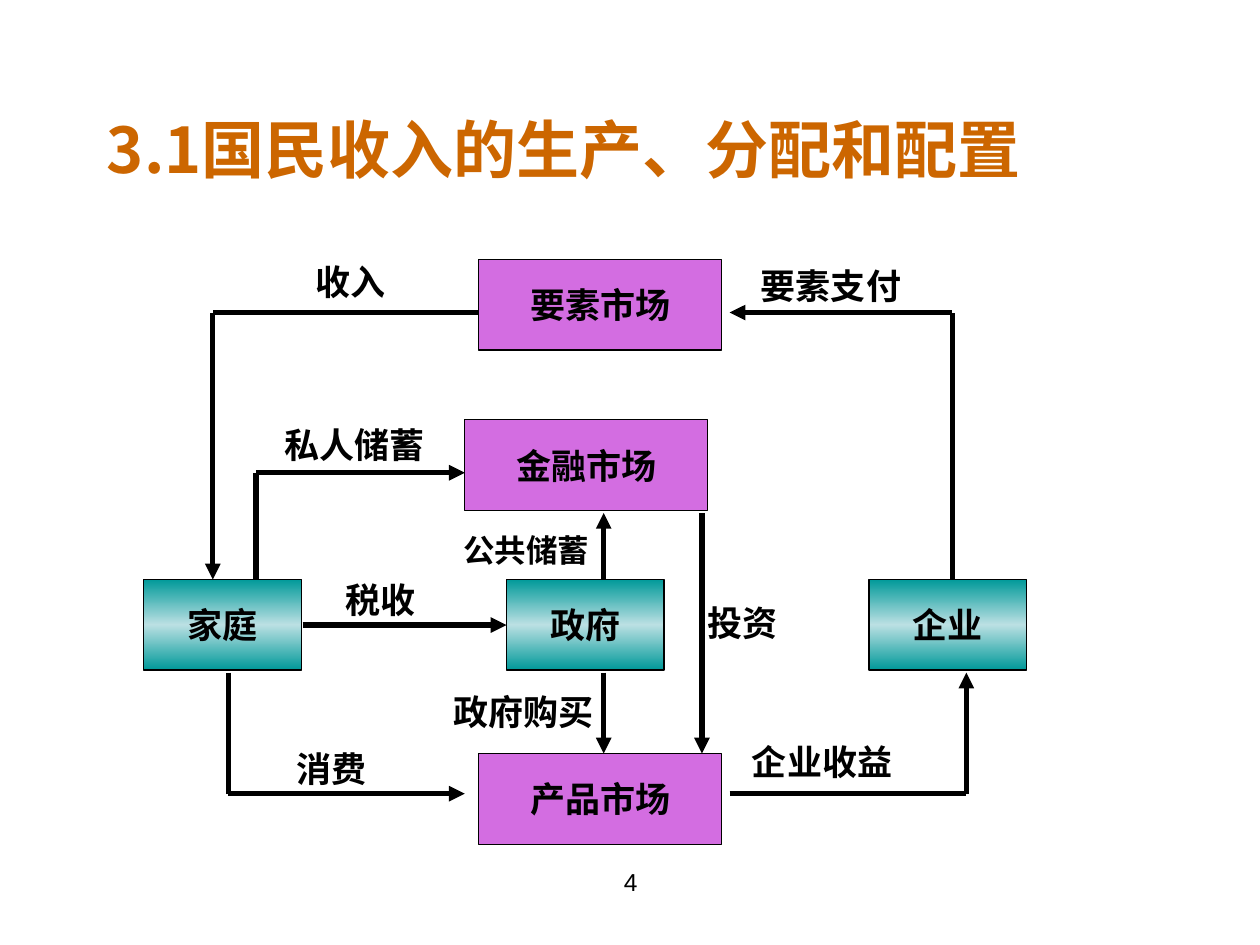
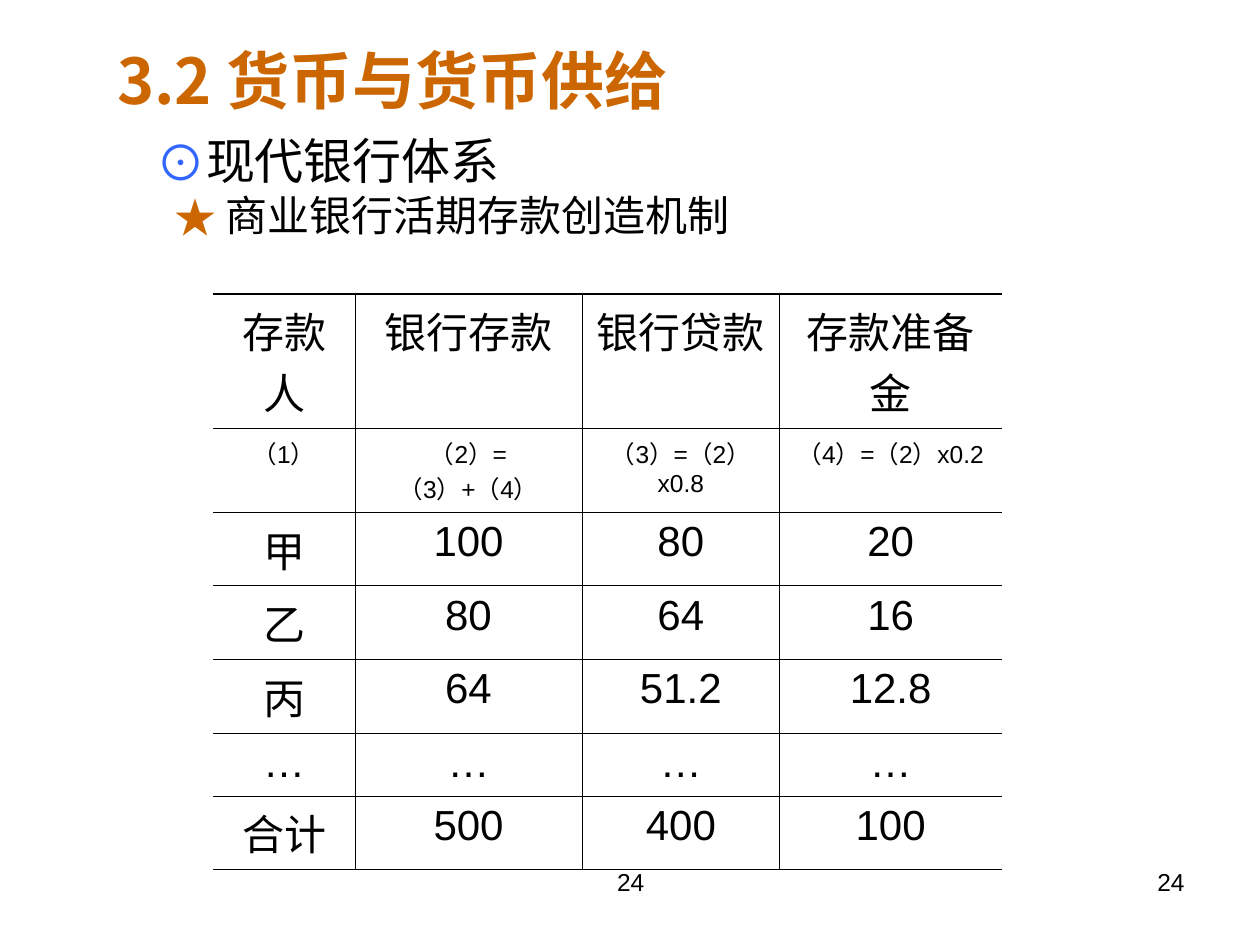
from copy import deepcopy
from dataclasses import dataclass
from itertools import pairwise

from lxml import etree
from pptx import Presentation
from pptx.dml.color import RGBColor
from pptx.enum.shapes import MSO_CONNECTOR, MSO_SHAPE
from pptx.enum.text import MSO_ANCHOR, MSO_AUTO_SIZE, PP_ALIGN
from pptx.oxml.ns import qn
from pptx.util import Cm, Pt

BLACK = RGBColor(0x00, 0x00, 0x00)
ORANGE = RGBColor(0xCC, 0x66, 0x00)
BLUE = RGBColor(0x33, 0x66, 0xFF)
ORCHID = RGBColor(0xD3, 0x6D, 0xE1)
TEAL = RGBColor(0x00, 0x99, 0x99)
PALE_TEAL = RGBColor(0xBB, 0xE0, 0xE3)

LEFT, CENTER, RIGHT = PP_ALIGN.LEFT, PP_ALIGN.CENTER, PP_ALIGN.RIGHT
TOP, MIDDLE = MSO_ANCHOR.TOP, MSO_ANCHOR.MIDDLE
FIXED_SIZE = MSO_AUTO_SIZE.NONE
RECTANGLE = MSO_SHAPE.RECTANGLE
STRAIGHT = MSO_CONNECTOR.STRAIGHT

BODY_FONT, BOX_FONT, CHINESE_FONT = "Arial", "Lato", "Noto Sans CJK SC"
TITLE_AND_LIST, TITLE_ONLY = 1, 5
THIN, THICK = 0.45, 1.08


# All lengths below are centimetres.
@dataclass(frozen=True)
class Node:
    text: str
    left: float
    top: float
    width: float
    is_sector: bool = False


@dataclass(frozen=True)
class Label:
    text: str
    left: float
    top: float
    width: float = 2.0
    size: int = 20
    align: PP_ALIGN = LEFT


@dataclass(frozen=True)
class ListItem:
    text: str
    bullet: str
    color: RGBColor
    size: int
    bullet_left: float
    text_left: float


NODE_HEIGHT = 1.83
SECTOR_TOP, SECTOR_LEFT, SECTOR_STEP, SECTOR_WIDTH = 11.68, 2.9, 7.31, 3.18
MARKET_WIDTH = 4.9

NODES = [
    Node("要素市场", 9.65, 5.23, MARKET_WIDTH),
    Node("金融市场", 9.37, 8.46, MARKET_WIDTH),
    Node("产品市场", 9.65, 15.19, MARKET_WIDTH),
] + [
    Node(name, SECTOR_LEFT + index * SECTOR_STEP, SECTOR_TOP, SECTOR_WIDTH, True)
    for index, name in enumerate(["家庭", "政府", "企业"])
]

# Each flow runs through its points and ends in an arrowhead.
FLOWS = [
    [(9.65, 6.3), (4.29, 6.3), (4.29, SECTOR_TOP)],
    [(19.2, SECTOR_TOP), (19.2, 6.3), (14.71, 6.3)],
    [(5.16, SECTOR_TOP), (5.16, 9.53), (9.37, 9.53)],
    [(4.6, 13.56), (4.6, 16), (9.37, 16)],
    [(14.71, 16), (19.48, 16), (19.48, 13.56)],
    [(6.1, 12.6), (10.21, 12.6)],
    [(12.17, SECTOR_TOP), (12.17, 10.34)],
    [(12.17, 13.56), (12.17, 15.19)],
    [(14.15, 10.34), (14.15, 15.19)],
]

LABELS = [
    Label("收入", 6.12, 5.13),
    Label("要素支付", 15.09, 5.21, 3.4),
    Label("私人储蓄", 5.49, 8.41, 3.94),
    Label("公共储蓄", 9.09, 10.59, 3.2, size=18),
    Label("税收", 6.71, 11.53),
    Label("投资", 13.69, 12.01, 2.57, align=CENTER),
    Label("政府购买", 8.89, 13.79, 3.4),
    Label("消费", 5.72, 14.94),
    Label("企业收益", 14.91, 14.81, 3.91),
]

LIST_ITEMS = [
    ListItem("现代银行体系", "⊙", BLUE, 28, 0, 1),
    ListItem("商业银行活期存款创造机制", "★", ORANGE, 24, 0.36, 1.4),
]

COLUMN_WIDTHS = [2.87, 4.57, 3.99, 4.47]
ROW_HEIGHTS = [2.29, 1.45] + [1.27] * 5
FORMULA_ROW = 1
DEPOSITS = [
    ["存款人", "银行存款", "银行贷款", "存款准备金"],
    ["（1）", "（2）=（3）+（4）", "（3）=（2）x0.8", "（4）=（2）x0.2"],
    ["甲", "100", "80", "20"],
    ["乙", "80", "64", "16"],
    ["丙", "64", "51.2", "12.8"],
    ["…", "…", "…", "…"],
    ["合计", "500", "400", "100"],
]


def write(para, text: str, *, size: float, font: str = BODY_FONT,
          color: RGBColor = BLACK, bold: bool = False,
          align: PP_ALIGN = LEFT) -> None:
    para.alignment = align
    span = para.add_run()
    span.text = text
    span.font.name = font
    span.font.size = Pt(size)
    span.font.bold = bold
    span.font.color.rgb = color
    latin = span._r.rPr.find(qn("a:latin"))
    east_asian = etree.Element(qn("a:ea"), typeface=CHINESE_FONT)
    latin.addnext(east_asian)


def place(shape, left: float, top: float, width: float, height: float) -> None:
    shape.left, shape.top = Cm(left), Cm(top)
    shape.width, shape.height = Cm(width), Cm(height)


def add_text(page, text: str, left: float, top: float, width: float,
             height: float, **text_format) -> None:
    box = page.shapes.add_textbox(Cm(left), Cm(top), Cm(width), Cm(height))
    box.text_frame.word_wrap = True
    write(box.text_frame.paragraphs[0], text, **text_format)


def set_title(page, text: str, left: float, top: float, width: float,
              height: float, anchor: MSO_ANCHOR) -> None:
    title = page.shapes.title
    place(title, left, top, width, height)
    title.text_frame.auto_size = FIXED_SIZE
    title.text_frame.vertical_anchor = anchor
    write(title.text_frame.paragraphs[0], text, size=36, font=CHINESE_FONT,
          color=ORANGE, bold=True)


def add_page_number(page, number: int, left: float = 8.69, width: float = 8.05,
                    align: PP_ALIGN = CENTER) -> None:
    add_text(page, str(number), left, 17.35, width, 1.32, size=14, align=align)


def fill_with_band(shape) -> None:
    """Fill with a gradient that is pale across the middle."""
    shape.fill.gradient()
    stop_list = shape._element.spPr.find(".//" + qn("a:gsLst"))
    stop_list.insert(1, deepcopy(stop_list[0]))
    band = [(0, TEAL), (0.5, PALE_TEAL), (1, TEAL)]
    for stop, (position, color) in zip(shape.fill.gradient_stops, band):
        stop.position = position
        stop.color.rgb = color
    shape.fill.gradient_angle = 90


def add_node(page, node: Node) -> None:
    box = page.shapes.add_shape(RECTANGLE, Cm(node.left), Cm(node.top),
                                Cm(node.width), Cm(NODE_HEIGHT))
    box.shadow.inherit = False
    if node.is_sector:
        fill_with_band(box)
    else:
        box.fill.solid()
        box.fill.fore_color.rgb = ORCHID
    box.line.color.rgb = BLACK
    box.line.width = Pt(0.75)
    box.text_frame.vertical_anchor = MIDDLE
    write(box.text_frame.paragraphs[0], node.text, size=20, font=BOX_FONT,
          bold=True, align=CENTER)


def add_flow(page, points: list[tuple[float, float]]) -> None:
    for start, end in pairwise(points):
        line = page.shapes.add_connector(STRAIGHT, *map(Cm, start + end))
        line.line.color.rgb = BLACK
        line.line.width = Pt(3)
        properties = line._element.spPr
        if end == points[-1]:
            outline = properties.find(qn("a:ln"))
            etree.SubElement(outline, qn("a:tailEnd"), type="triangle")
        etree.SubElement(properties, qn("a:effectLst"))


def add_list_item(para, item: ListItem) -> None:
    properties = para._p.get_or_add_pPr()
    properties.set("marL", str(Cm(item.text_left)))
    properties.set("indent", str(Cm(item.bullet_left) - Cm(item.text_left)))
    bullet_color = etree.SubElement(properties, qn("a:buClr"))
    etree.SubElement(bullet_color, qn("a:srgbClr"), val=str(item.color))
    etree.SubElement(properties, qn("a:buFont"), typeface=CHINESE_FONT)
    etree.SubElement(properties, qn("a:buChar"), char=item.bullet)
    para.space_before = Pt(0)
    write(para, item.text, size=item.size, font=CHINESE_FONT)


def set_border(cell, side: str, width: float) -> None:
    """Draw one side (L, R, T or B) of a cell; a width of 0 hides it."""
    border = etree.SubElement(cell._tc.get_or_add_tcPr(), qn("a:ln" + side),
                              w=str(Pt(width)))
    if width:
        fill = etree.SubElement(border, qn("a:solidFill"))
        etree.SubElement(fill, qn("a:srgbClr"), val=str(BLACK))
    else:
        etree.SubElement(border, qn("a:noFill"))


def add_deposit_table(page) -> None:
    frame = page.shapes.add_table(
        len(ROW_HEIGHTS), len(COLUMN_WIDTHS), Cm(4.29), Cm(5.92),
        Cm(sum(COLUMN_WIDTHS)), Cm(sum(ROW_HEIGHTS)))
    table = frame.table
    table.first_row = table.horz_banding = False
    for column, width in zip(table.columns, COLUMN_WIDTHS):
        column.width = Cm(width)
    for row, height in zip(table.rows, ROW_HEIGHTS):
        row.height = Cm(height)
    last_row, last_column = len(ROW_HEIGHTS) - 1, len(COLUMN_WIDTHS) - 1
    for row_index, texts in enumerate(DEPOSITS):
        for column_index, text in enumerate(texts):
            cell = table.cell(row_index, column_index)
            set_border(cell, "L", THIN if column_index > 0 else 0)
            set_border(cell, "R", THIN if column_index < last_column else 0)
            set_border(cell, "T", THIN if row_index > 0 else THICK)
            set_border(cell, "B", THIN if row_index < last_row else THICK)
            cell.fill.background()
            write(cell.text_frame.paragraphs[0], text, align=CENTER,
                  size=14 if row_index == FORMULA_ROW else 24)


def build_income_page(deck) -> None:
    page = deck.slides.add_slide(deck.slide_layouts[TITLE_ONLY])
    set_title(page, "3.1国民收入的生产、分配和配置", 1.9, 2.13, 21.18, 1.7, MIDDLE)
    for node in NODES:
        add_node(page, node)
    for points in FLOWS:
        add_flow(page, points)
    for label in LABELS:
        add_text(page, label.text, label.left, label.top, label.width, 1.12,
                 size=label.size, bold=True, align=label.align)
    add_page_number(page, 4)


def build_money_page(deck) -> None:
    page = deck.slides.add_slide(deck.slide_layouts[TITLE_AND_LIST])
    set_title(page, "3.2 货币与货币供给", 2.11, 0.71, 12.8, 1.78, TOP)
    body = page.placeholders[1]
    place(body, 2.9, 2.51, 19.6, 2.46)
    body.text_frame.auto_size = FIXED_SIZE
    for index, item in enumerate(LIST_ITEMS):
        para = body.text_frame.add_paragraph() if index else body.text_frame.paragraphs[0]
        para.level = index
        add_list_item(para, item)
    add_deposit_table(page)
    add_page_number(page, 24)
    add_page_number(page, 24, left=18.21, width=5.92, align=RIGHT)


def main() -> None:
    deck = Presentation()
    deck.slide_width, deck.slide_height = Cm(25.4), Cm(19.05)
    build_income_page(deck)
    build_money_page(deck)
    deck.save("out.pptx")


if __name__ == "__main__":
    main()
